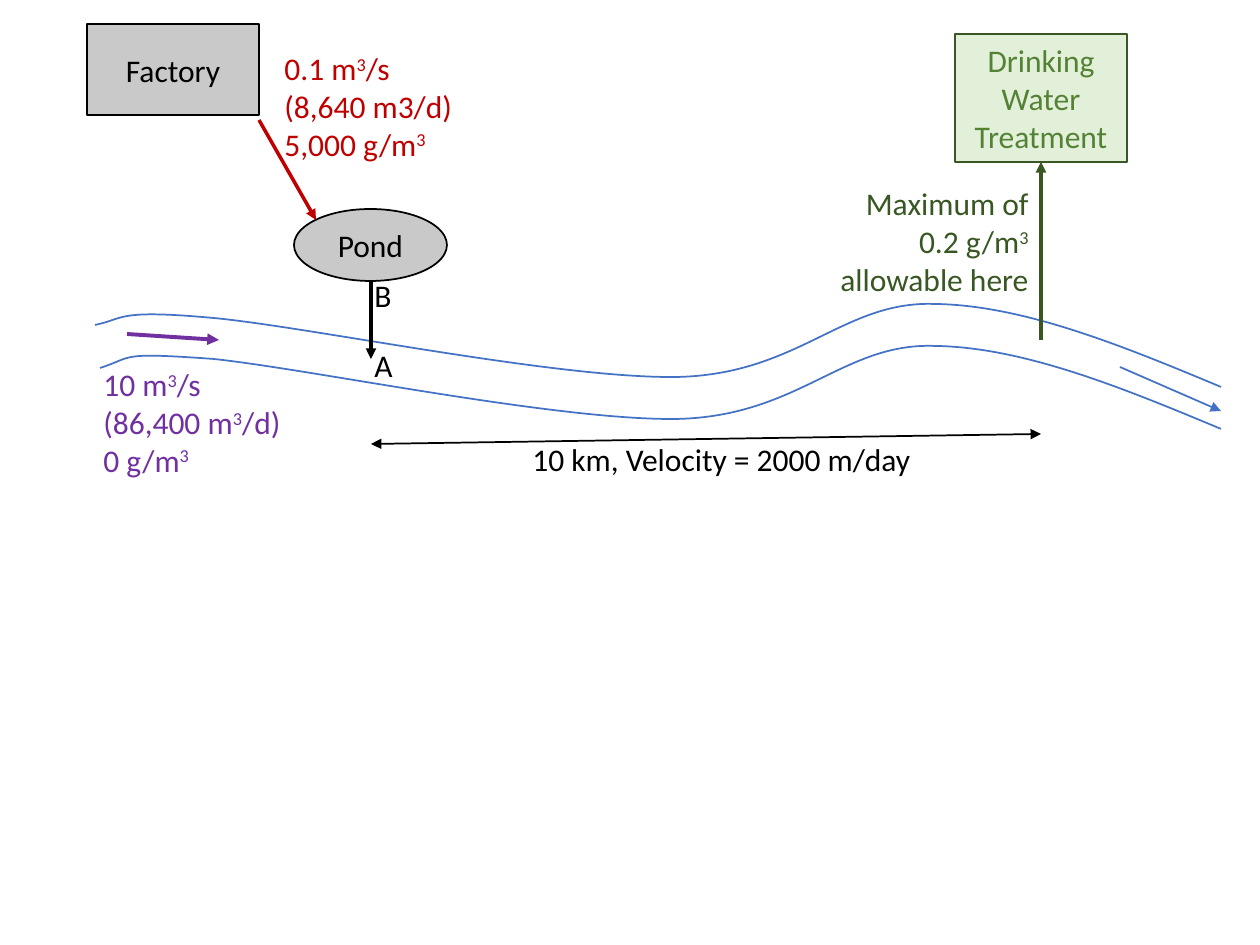
from pptx import Presentation
from pptx.dml.color import RGBColor
from pptx.enum.shapes import MSO_CONNECTOR, MSO_SHAPE
from pptx.enum.text import MSO_ANCHOR, MSO_AUTO_SIZE, PP_ALIGN
from pptx.oxml.ns import qn
from pptx.util import Emu, Pt
from lxml.etree import SubElement

BLACK = RGBColor(0x00, 0x00, 0x00)
GRAY = RGBColor(0xC9, 0xC9, 0xC9)
BLUE = RGBColor(0x44, 0x72, 0xC4)
RED = RGBColor(0xC0, 0x00, 0x00)
PURPLE = RGBColor(0x70, 0x30, 0xA0)
DARK_GREEN = RGBColor(0x38, 0x57, 0x23)
GREEN = RGBColor(0x54, 0x82, 0x35)
PALE_GREEN = RGBColor(0xE2, 0xF0, 0xD9)
EMU_PER_PX = 914400 / 126


def px(n):
    return Emu(round(n * EMU_PER_PX))


def write(tf, lines, color, align):
    """One paragraph per line; text between carets is superscript."""
    for i, line in enumerate(lines):
        p = tf.paragraphs[0] if i == 0 else tf.add_paragraph()
        p.alignment = align
        for j, part in enumerate(line.split("^")):
            if not part:
                continue
            r = p.add_run()
            r.text = part
            r.font.name, r.font.size = "Calibri", Pt(18)
            r.font.color.rgb = color
            if j % 2:
                r.font._element.set("baseline", "30000")


def label(s, x, y, w, h, lines, color, align=PP_ALIGN.LEFT, wrap=False):
    tf = s.shapes.add_textbox(px(x), px(y), px(w), px(h)).text_frame
    tf.word_wrap = wrap
    tf.auto_size = MSO_AUTO_SIZE.SHAPE_TO_FIT_TEXT
    write(tf, lines, color, align)


def node(s, kind, x, y, w, h, lines, fill, line, color):
    sp = s.shapes.add_shape(kind, px(x), px(y), px(w), px(h))
    sp.shadow.inherit = False
    sp.fill.solid()
    sp.fill.fore_color.rgb = fill
    sp.line.color.rgb, sp.line.width = line, Pt(1)
    sp.text_frame.vertical_anchor = MSO_ANCHOR.MIDDLE
    write(sp.text_frame, lines, color, PP_ALIGN.CENTER)
    return sp


def arrow(s, x1, y1, x2, y2, color, width, ends=("tailEnd",)):
    cx = s.shapes.add_connector(MSO_CONNECTOR.STRAIGHT, px(x1), px(y1), px(x2), px(y2))
    cx.line.color.rgb, cx.line.width = color, Pt(width)
    for end in ends:
        SubElement(cx.line._get_or_add_ln(), qn("a:" + end), type="triangle")
    SubElement(cx._element.spPr, qn("a:effectLst"))
    return cx


def curve(s, points):
    """Open Bezier: a start point, then two controls and an end per segment."""
    builder = s.shapes.build_freeform(*points[0], scale=EMU_PER_PX)
    builder.add_line_segments(points[1:], close=False)
    sp = builder.convert_to_shape()
    sp.shadow.inherit = False
    sp.fill.background()
    sp.line.color.rgb, sp.line.width = BLUE, Pt(1)
    # Turn each three line steps into one cubic step
    outline = next(sp._element.iter(qn("a:path")))
    steps = outline.findall(qn("a:lnTo"))
    for i in range(0, len(steps), 3):
        cubic = SubElement(outline, qn("a:cubicBezTo"))
        for step in steps[i:i + 3]:
            cubic.append(step[0])
            outline.remove(step)


def river(s, x, y):
    bank = [(215, 23), (463, 75), (583, 73), (704, 70), (748, -3), (839, 0),
            (928, 1), (1028, 42), (1126, 83)]
    upper_head = [(0, 21), (30, 15), (20, 5), (118, 14)]
    lower_head = [(5, 64), (40, 53), (21, 48), (118, 55)]
    for head, drop in ((upper_head, 0), (lower_head, 42)):
        tail = [(dx, dy + drop) for dx, dy in bank]
        curve(s, [(x + dx, y + dy) for dx, dy in head + tail])
    # Flow out, flow in and its load
    arrow(s, x + 1025, y + 63, x + 1126, y + 107, BLUE, 1)
    arrow(s, x + 32, y + 30, x + 124, y + 36, PURPLE, 2.25)
    label(s, x - 4, y + 55, 207, 127, ["10 m^3^/s", "(86,400 m^3^/d)", "0 g/m^3^"], PURPLE)


def discharge(s, x, y):
    # Factory to pond
    node(s, MSO_SHAPE.RECTANGLE, x, y, 172, 91, ["Factory"], GRAY, BLACK, BLACK)
    node(s, MSO_SHAPE.OVAL, x + 207, y + 185, 153, 72, ["Pond"], GRAY, BLACK, BLACK)
    arrow(s, x + 172, y + 96, x + 229, y + 196, RED, 2)
    label(s, x + 185, y + 19, 195, 127, ["0.1 m^3^/s", "(8,640 m3/d)", "5,000 g/m^3^"], RED)
    # Pond to river
    arrow(s, x + 284, y + 257, x + 284, y + 335, BLACK, 2)
    for letter, dy in (("A", 316), ("B", 246)):
        label(s, x + 275, y + dy, 44, 50, [letter], BLACK)


def treatment(s, x, y):
    plant = node(s, MSO_SHAPE.RECTANGLE, x, y, 172, 128, ["Drinking Water", "Treatment"],
                 PALE_GREEN, DARK_GREEN, GREEN)
    intake = arrow(s, x + 86, y + 306, x + 86, y + 128, DARK_GREEN, 2)
    intake.end_connect(plant, 2)
    label(s, x - 130, y + 144, 216, 127, ["Maximum of 0.2 g/m^3^ allowable here"],
          DARK_GREEN, PP_ALIGN.RIGHT, wrap=True)


def distance(s, x, y):
    arrow(s, x, y + 10, x + 670, y, BLACK, 1, ("headEnd", "tailEnd"))
    label(s, x + 149, y, 416, 50, ["10 km, Velocity = 2000 m/day"], BLACK)


def main():
    prs = Presentation()
    prs.slide_width, prs.slide_height = px(1260), px(945)
    s = prs.slides.add_slide(prs.slide_layouts[6])
    river(s, 95, 304)
    discharge(s, 87, 24)
    treatment(s, 955, 34)
    distance(s, 371, 434)
    prs.save("out.pptx")


if __name__ == "__main__":
    main()
